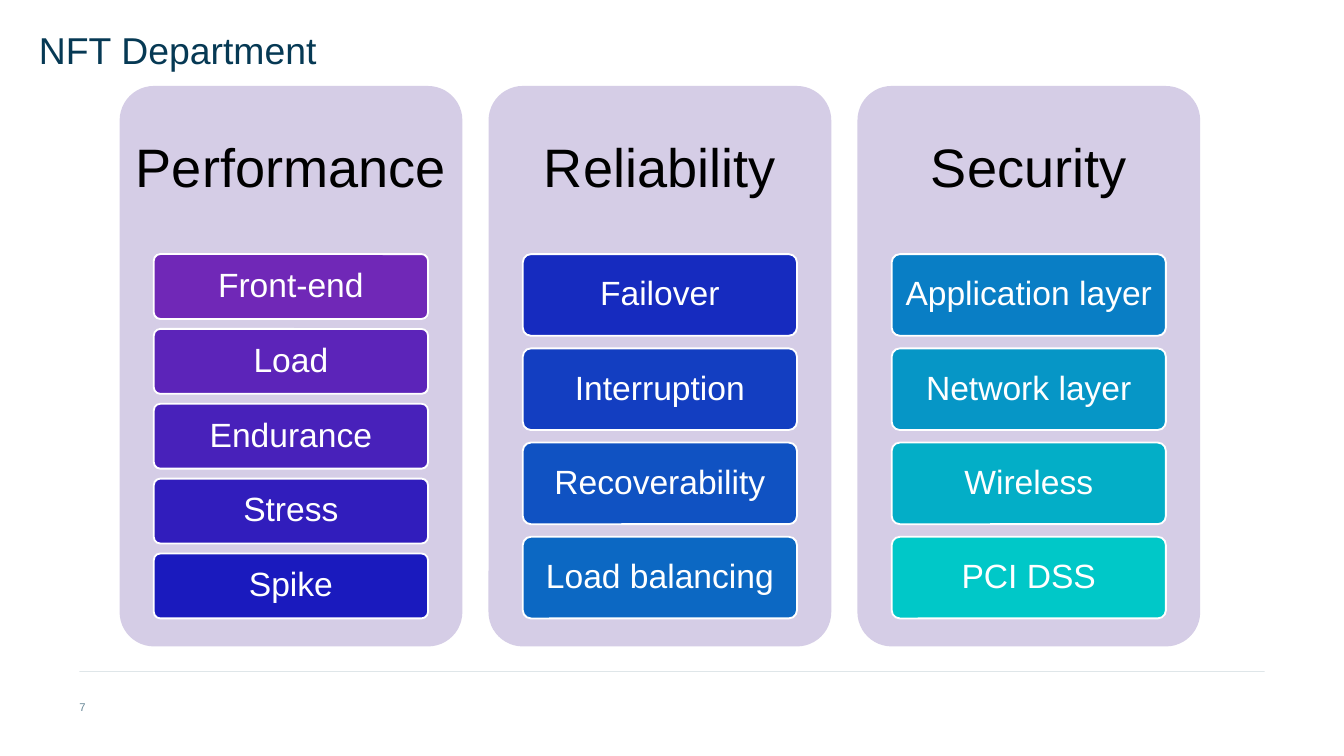
from dataclasses import dataclass

from pptx import Presentation
from pptx.dml.color import RGBColor
from pptx.enum.shapes import MSO_SHAPE
from pptx.enum.text import MSO_ANCHOR, PP_ALIGN
from pptx.util import Inches, Pt

RECT, ROUNDED = MSO_SHAPE.RECTANGLE, MSO_SHAPE.ROUNDED_RECTANGLE
TOP, MIDDLE = MSO_ANCHOR.TOP, MSO_ANCHOR.MIDDLE
LEFT, CENTER = PP_ALIGN.LEFT, PP_ALIGN.CENTER


@dataclass(frozen=True)
class Theme:
    font: str = "Arial"
    navy: str = "063954"
    muted: str = "698898"
    panel: str = "D5CDE6"
    black: str = "000000"
    white: str = "FFFFFF"
    title_size: int = 20
    heading_size: int = 29
    item_size: int = 18
    number_size: int = 6


THEME = Theme()

COLUMNS = [
    ("Performance", [("Front-end", "7028B7"), ("Load", "5C24B9"),
                     ("Endurance", "4821BA"), ("Stress", "311DBC"),
                     ("Spike", "1A1ABE")]),
    ("Reliability", [("Failover", "162BBF"), ("Interruption", "133EC1"),
                     ("Recoverability", "1052C2"),
                     ("Load balancing", "0C68C3")]),
    ("Security", [("Application layer", "097EC5"),
                  ("Network layer", "0696C6"), ("Wireless", "03AEC7"),
                  ("PCI DSS", "00C8C8")]),
]


def rgb(color):
    return RGBColor.from_string(color)


def write(sp, text, size, color, align=LEFT, anchor=TOP, spacing=1.0, inset=0):
    tf = sp.text_frame
    tf.word_wrap = True
    tf.vertical_anchor = anchor
    tf.margin_left = tf.margin_right = Inches(inset)
    tf.margin_top = tf.margin_bottom = Inches(inset)
    p = tf.paragraphs[0]
    p.alignment = align
    p.line_spacing = spacing
    r = p.add_run()
    r.text = text
    r.font.name = THEME.font
    r.font.size = Pt(size)
    r.font.color.rgb = rgb(color)


def add_text(slide, box, text, **fmt):
    sp = slide.shapes.add_textbox(*map(Inches, box))
    write(sp, text, **fmt)


def add_box(slide, kind, box, fill, line=None):
    sp = slide.shapes.add_shape(kind, *map(Inches, box))
    sp.shadow.inherit = False
    sp.fill.solid()
    sp.fill.fore_color.rgb = rgb(fill)
    if kind == ROUNDED:
        sp.adjustments[0] = 0.1
    if line:
        sp.line.color.rgb = rgb(line)
        sp.line.width = Pt(1)
    else:
        sp.line.fill.background()
    return sp


def add_column(slide, box, heading, items):
    """Panel with a heading over a stack of equal boxes."""
    x, y, w, h = box
    add_box(slide, ROUNDED, box, THEME.panel)
    heading_h = 0.3 * h
    add_text(slide, (x, y, w, heading_h), heading, size=THEME.heading_size,
             color=THEME.black, align=CENTER, anchor=MIDDLE, spacing=0.9,
             inset=0.05)

    # Boxes fill 65% of the panel; each gap is 2/13 of a box
    n = len(items)
    gap_ratio = 2 / 13
    item_h = 0.65 * h / (n + (n - 1) * gap_ratio)
    pitch = item_h * (1 + gap_ratio)
    for i, (label, fill) in enumerate(items):
        item_box = (x + 0.1 * w, y + heading_h + i * pitch, 0.8 * w, item_h)
        sp = add_box(slide, ROUNDED, item_box, fill, line=THEME.white)
        write(sp, label, size=THEME.item_size, color=THEME.white,
              align=CENTER, anchor=MIDDLE, spacing=0.9, inset=0.05)


def add_columns(slide, box):
    x, y, w, h = box
    col_w = 2.55
    pitch = (w - col_w) / (len(COLUMNS) - 1)
    for i, (heading, items) in enumerate(COLUMNS):
        add_column(slide, (x + i * pitch, y, col_w, h), heading, items)


def add_footer(slide, box):
    """Hairline bar with the slide number below it."""
    x, y, w, h = box
    add_box(slide, RECT, (x, y, w, 0), THEME.navy)
    number_h = 0.1
    add_text(slide, (x, y + h - number_h, 0.2, number_h), "7",
             size=THEME.number_size, color=THEME.muted)


def main():
    prs = Presentation()
    prs.slide_width = Inches(10)
    prs.slide_height = prs.slide_width * 9 // 16
    slide = prs.slides.add_slide(prs.slide_layouts[6])

    add_footer(slide, (0.59, 5, 8.82, 0.31))
    add_text(slide, (0.29, 0.17, 4.54, 0.55), "NFT Department",
             size=THEME.title_size, color=THEME.navy, spacing=1.1)
    add_columns(slide, (0.89, 0.64, 8.04, 4.17))

    prs.save("out.pptx")


if __name__ == "__main__":
    main()
